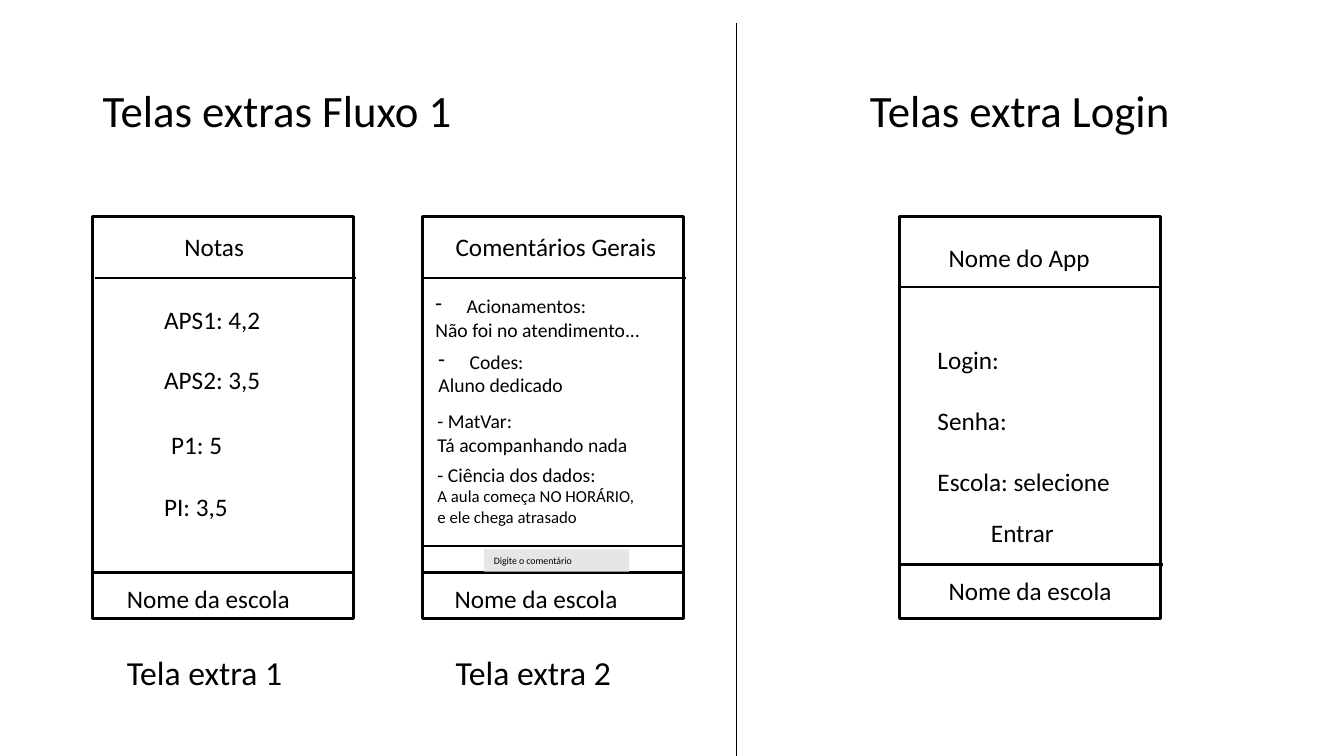
"""Builds a slide with three wireframes of app screens."""
import pptx
import pptx.dml.color
import pptx.enum.shapes
import pptx.enum.text
import pptx.oxml.ns
import pptx.util
from lxml import etree

Inches = pptx.util.Inches
Pt = pptx.util.Pt
BLACK = pptx.dml.color.RGBColor(0x00, 0x00, 0x00)
WHITE = pptx.dml.color.RGBColor(0xFF, 0xFF, 0xFF)
GRAY = pptx.dml.color.RGBColor(0xE7, 0xE6, 0xE6)
FONT = "Calibri"
TOP = pptx.enum.text.MSO_ANCHOR.TOP
MIDDLE = pptx.enum.text.MSO_ANCHOR.MIDDLE

SCREEN_TOP, SCREEN_WIDTH, SCREEN_HEIGHT = 2.15, 2.59, 3.99
SCREENS = [
    {"left": 0.92, "rules": [(0.02, 2.76), (0, 5.68)]},
    {"left": 4.19, "rules": [(0.02, 2.76), (0, 5.68), (0, 5.42)]},
    {"left": 8.92, "rules": [(0, 2.85), (0.02, 5.6)]},
]
DIVIDER = (7.3, 0.23, 7.3, 7.5)

HEADINGS = [
    ("Telas extras Fluxo 1", 0.92, 0.4, 6.2, 1.45, 32),
    ("Telas extra Login", 8.53, 0.4, 4.6, 1.45, 32),
    ("Tela extra 1", 1.16, 6.3, 1.91, 0.78, 24),
    ("Tela extra 2", 4.42, 6.3, 1.91, 0.78, 24),
]
LABELS = [
    ("Notas", 1.73, 2.25, 1.84),
    ("APS1: 4,2", 1.53, 2.97, 1.77),
    ("APS2: 3,5", 1.53, 3.57, 1.77),
    ("P1: 5", 1.6, 4.21, 1.77),
    ("PI: 3,5", 1.53, 4.83, 1.77),
    ("Nome da escola", 1.16, 5.74, 2.42),
    ("Comentários Gerais", 4.42, 2.25, 2.39),
    ("Nome da escola", 4.41, 5.74, 2.42),
    ("Nome do App", 9.31, 2.35, 2.42),
    ("Nome da escola", 9.31, 5.66, 2.42),
    ("Entrar", 9.73, 5.08, 0.89),
]
COMMENTS = [
    ("Acionamentos:", "Não foi no atendimento...", 4.22, 2.87, 0.88, True, 14),
    ("Codes:", "Aluno dedicado", 4.25, 3.42, 0.57, True, 14),
    ("- MatVar:", "Tá acompanhando nada", 4.24, 4.01, 0.57, False, 14),
    ("- Ciência dos dados:", "A aula começa NO HORÁRIO, e ele chega atrasado",
     4.24, 4.54, 0.74, False, 12),
]
LOGIN_FIELDS = ["Login:", "Senha:", "Escola: selecione"]
COMMENT_FIELD = ("Digite o comentário", 4.8, 5.45, 1.44, 0.22)


def add_bullet(para):
    properties = para._p.get_or_add_pPr()
    properties.set("marL", str(Inches(0.31)))
    properties.set("indent", str(-Inches(0.31)))
    bullet = etree.SubElement(properties, pptx.oxml.ns.qn("a:buChar"))
    bullet.set("char", "-")


def write(frame, lines, anchor=TOP):
    frame.word_wrap = True
    frame.vertical_anchor = anchor
    for index, line in enumerate(lines):
        para = frame.paragraphs[0] if index == 0 else frame.add_paragraph()
        para.alignment = pptx.enum.text.PP_ALIGN.LEFT
        if line.get("bullet"):
            add_bullet(para)
        for name, value in line.get("format", {}).items():
            setattr(para, name, value)
        span = para.add_run()
        span.text = line["text"]
        for name, value in {"name": FONT, "size": Pt(line["size"])}.items():
            setattr(span.font, name, value)
        span.font.color.rgb = BLACK


def add_text(page, lines, left, top, width, height, anchor=TOP):
    box = page.shapes.add_textbox(*map(Inches, (left, top, width, height)))
    write(box.text_frame, lines, anchor)


def add_box(page, left, top, width, height, fill, weight=None):
    box = page.shapes.add_shape(
        pptx.enum.shapes.MSO_SHAPE.RECTANGLE, *map(Inches, (left, top, width, height)))
    box.shadow.inherit = False
    box.fill.solid()
    box.fill.fore_color.rgb = fill
    if weight:
        box.line.color.rgb = BLACK
        box.line.width = Pt(weight)
    else:
        box.line.fill.background()
    return box


def add_rule(page, ends, weight):
    rule = page.shapes.add_connector(
        pptx.enum.shapes.MSO_CONNECTOR.STRAIGHT, *map(Inches, ends))
    rule.line.color.rgb = BLACK
    rule.line.width = Pt(weight)
    etree.SubElement(rule._element.spPr, pptx.oxml.ns.qn("a:effectLst"))


def main():
    deck = pptx.Presentation()
    deck.slide_width, deck.slide_height = Inches(13.33), Inches(7.5)
    page = deck.slides.add_slide(deck.slide_layouts[6])

    for screen in SCREENS:
        add_box(page, screen["left"], SCREEN_TOP, SCREEN_WIDTH, SCREEN_HEIGHT, WHITE, 2.25)
        for shift, height in screen["rules"]:
            start = screen["left"] + shift
            add_rule(page, (start, height, start + SCREEN_WIDTH, height), 1.5)
    add_rule(page, DIVIDER, 0.5)

    for text, left, top, width, height, size in HEADINGS:
        line = {"text": text, "size": size, "format": {"line_spacing": 0.9}}
        add_text(page, [line], left, top, width, height, MIDDLE)
    for text, left, top, width in LABELS:
        add_text(page, [{"text": text, "size": 18}], left, top, width, 0.4)
    for subject, remark, left, top, height, bullet, size in COMMENTS:
        lines = [{"text": subject, "size": 14, "bullet": bullet},
                 {"text": remark, "size": size}]
        add_text(page, lines, left, top, 2.25, height)

    fields = [{"text": text, "size": 18, "format": {"space_before": Pt(22 if index else 0)}}
              for index, text in enumerate(LOGIN_FIELDS)]
    add_text(page, fields, 9.2, 3.37, 2.36, 1.62)

    text, *place = COMMENT_FIELD
    field = add_box(page, *place, GRAY)
    write(field.text_frame, [{"text": text, "size": 7}])

    deck.save("out.pptx")


if __name__ == "__main__":
    main()
